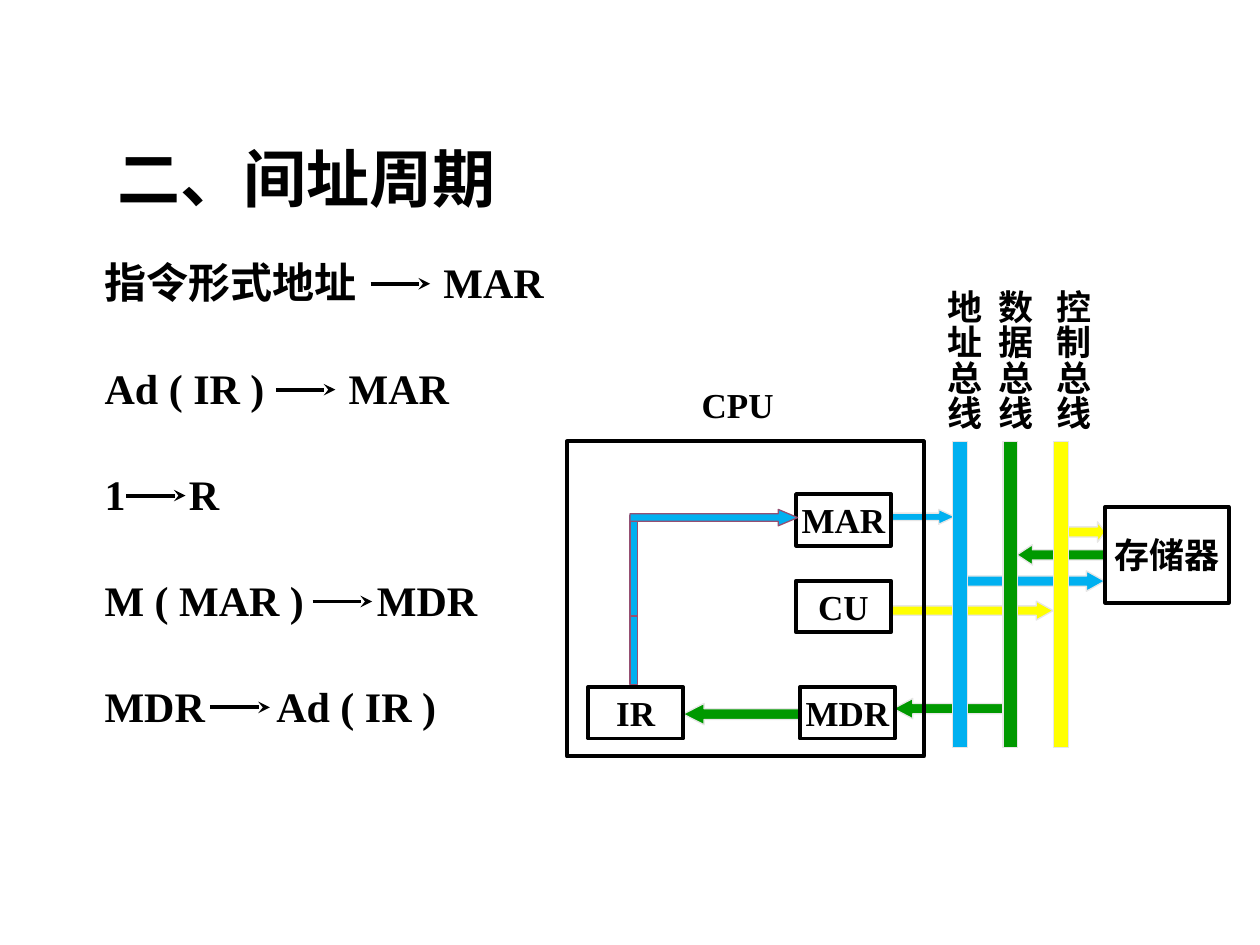
from lxml.etree import SubElement
from pptx import Presentation
from pptx.dml.color import RGBColor
from pptx.enum.shapes import MSO_CONNECTOR as Link, MSO_SHAPE as Kind
from pptx.enum.text import MSO_ANCHOR as Anchor, PP_ALIGN as Align
from pptx.oxml.ns import qn
from pptx.util import Cm, Pt

FONT = "Times New Roman"
HEX = {
    "ink": "000000", "addr": "00B0F0", "data": "009900",
    "ctrl": "FFFF00", "edge": "E7E6E6", "path": "954F72",
}


def color(name):
    return RGBColor.from_string(HEX[name])


def write(shape, text, size, align=Align.LEFT, anchor=Anchor.MIDDLE, pad=(0, 0, 0, 0)):
    frame = shape.text_frame
    frame.word_wrap = True
    frame.vertical_anchor = anchor
    frame.margin_left, frame.margin_top, frame.margin_right, frame.margin_bottom = map(Cm, pad)
    frame.text = text
    para = frame.paragraphs[0]
    para.alignment = align
    for run in para.runs:
        font = run.font
        font.name, font.size, font.bold = FONT, Pt(size), True
        font.color.rgb = color("ink")
    return para


def label(slide, box, text, size, **look):
    shape = slide.shapes.add_textbox(*map(Cm, box))
    return shape, write(shape, text, size, **look)


def block(slide, kind, box, fill=None, line="edge", width=0.75):
    shape = slide.shapes.add_shape(kind, *map(Cm, box))
    shape.shadow.inherit = False
    if fill:
        shape.fill.solid()
        shape.fill.fore_color.rgb = color(fill)
    else:
        shape.fill.background()
    shape.line.color.rgb = color(line)
    shape.line.width = Pt(width)
    return shape


def arrow(slide, box, fill, head, shaft=0.5, left=False, line="edge"):
    shape = block(slide, Kind.RIGHT_ARROW, box, fill, line)
    shape.adjustments[0], shape.adjustments[1] = shaft, head
    shape.rotation = 180 if left else 0


def node(slide, box, text=""):
    shape = block(slide, Kind.RECTANGLE, box, line="ink", width=2.25)
    if text:
        write(shape, text, 20, Align.CENTER)


def title(slide, box):
    shape = slide.shapes.title
    shape.left, shape.top, shape.width, shape.height = map(Cm, box)
    write(shape, "二、间址周期", 36)


def step(slide, box, text, start, stop):
    """One transfer: source, arrow from start, target at the tab stop."""
    x, y, w, h = box
    para = label(slide, box, text, 24)[1]
    tabs = SubElement(para._p.get_or_add_pPr(), qn("a:tabLst"))
    SubElement(tabs, qn("a:tab"), pos=str(Cm(stop)), algn="l")
    mid = Cm(y + h / 2 + 0.04)
    line = slide.shapes.add_connector(Link.STRAIGHT, Cm(x + start), mid, Cm(x + start + 1.2), mid)
    line.line.color.rgb = color("ink")
    line.line.width = Pt(2.25)
    SubElement(line.line._get_or_add_ln(), qn("a:tailEnd"), type="stealth")
    SubElement(line._element.spPr, qn("a:effectLst"))


def steps(slide, box):
    x, y, w, h = box
    rows = [
        ("指令形式地址\tMAR", 5.36, 6.83),
        ("Ad ( IR )\tMAR", 3.45, 4.92),
        ("1\tR", 0.43, 1.7),
        ("M ( MAR )\tMDR", 4.19, 5.49),
        ("MDR\tAd ( IR )", 2.13, 3.46),
    ]
    gap = (h - 1.2) / (len(rows) - 1)
    for i, row in enumerate(rows):
        step(slide, (x, y + i * gap, w, 1.2), *row)


def diagram(slide, box):
    """CPU registers, the three buses and the memory."""
    x, y, w, h = box

    def at(dx, dy, *size):
        return (x + dx, y + dy, *size)

    top = h - 6.35
    flows = [
        (at(6.58, 8.36, 2.21, 0.41), "data", 0.95, 0.5, True),
        (at(2.34, 8.46, 2.34, 0.43), "data", 0.98, 0.5, True),
        (at(6.55, 6.4, 3.25, 0.38), "ctrl", 0.89),
        (at(6.55, 4.55, 1.27, 0.3), "addr", 1.09),
        (at(9.07, 5.26, 1.75, 0.41), "data", 0.76, 0.5, True),
        (at(8.05, 5.79, 2.79, 0.41), "addr", 0.9),
        (at(9.96, 4.8, 0.89, 0.41), "ctrl", 0.38),
    ]
    for flow in flows:
        arrow(slide, *flow)
    node(slide, at(0, top, 7.19, 6.35))
    label(slide, at(2.46, 1.88, 1.96, 1.12), "CPU", 20, align=Align.CENTER)

    for dy, tall in ((6.68, 1.4), (4.67, 2.03)):
        block(slide, Kind.RECTANGLE, at(1.27, dy, 0.15, tall), "addr", "path")
    for text, dx, dy in (("MDR", 4.7, 8.13), ("CU", 4.62, 5.99), ("MAR", 4.62, 4.24), ("IR", 0.43, 8.13)):
        node(slide, at(dx, dy, 1.91, 1.04), text)
    node(slide, at(w - 2.49, 4.5, 2.49, 1.93), "存储器")
    arrow(slide, at(1.27, 4.55, 3.38, 0.33), "addr", 1.18, 0.46, line="path")

    buses = (("地址总线", "addr", 7.21), ("数据总线", "data", 8.23), ("控制总线", "ctrl", 9.4))
    for i, (text, fill, dx) in enumerate(buses):
        block(slide, Kind.RECTANGLE, at(7.77 + i * 1.02, top, 0.3, 6.17), fill)
        tag = label(slide, at(dx, 0, 1.35, 3.1), text, 20, anchor=Anchor.TOP, pad=(0.13, 0.13, 0.13, 0))[0]
        tag.text_frame._txBody.bodyPr.set("vert", "eaVert")


def main():
    deck = Presentation()
    deck.slide_width, deck.slide_height = Cm(25.4), Cm(19.05)
    slide = deck.slides.add_slide(deck.slide_layouts[5])
    title(slide, (2.36, 2.97, 9, 1.2))
    steps(slide, (2.11, 5.08, 12, 9.74))
    diagram(slide, (11.43, 5.72, 13.34, 9.53))
    deck.save("out.pptx")


if __name__ == "__main__":
    main()
